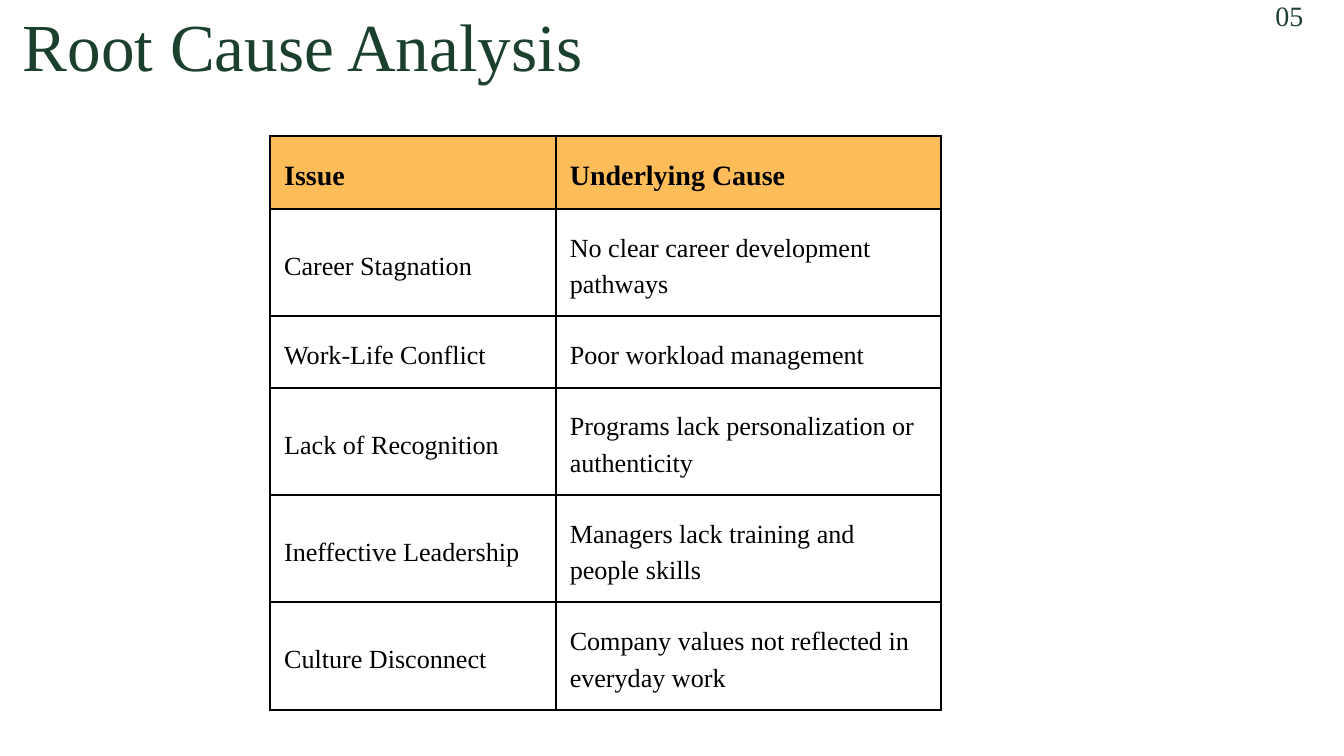
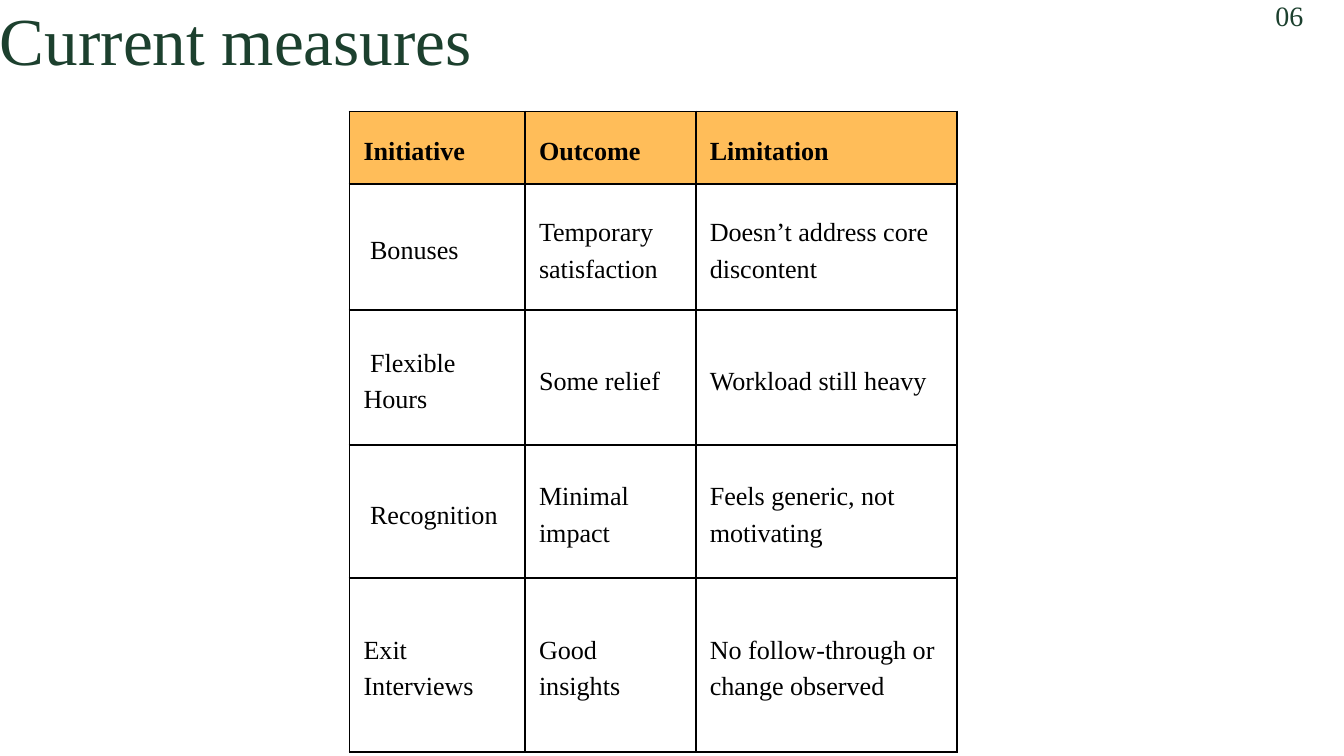
"""Build two slides, each with a title, a page number and a bordered table."""
import pptx
import pptx.dml.color
import pptx.enum.text
import pptx.oxml
import pptx.oxml.ns
import pptx.util

Pt = pptx.util.Pt
RGB = pptx.dml.color.RGBColor
GREEN = RGB(0x1C, 0x40, 0x2E)
AMBER = RGB(0xFF, 0xBD, 0x59)
BLACK = RGB(0, 0, 0)
WHITE = RGB(255, 255, 255)
FONT = "Times New Roman"
INSET = Pt(15)
EDGE = 2.25

CAUSES = [
    ("Issue", "Underlying Cause"),
    ("Career Stagnation", "No clear career development pathways"),
    ("Work-Life Conflict", "Poor workload management"),
    ("Lack of Recognition", "Programs lack personalization or authenticity"),
    ("Ineffective Leadership", "Managers lack training and people skills"),
    ("Culture Disconnect", "Company values not reflected in everyday work"),
]
STEPS = [
    ("Initiative", "Outcome", "Limitation"),
    (" Bonuses", "Temporary satisfaction", "Doesn’t address core discontent"),
    (" Flexible Hours", "Some relief", "Workload still heavy"),
    (" Recognition", "Minimal impact", "Feels generic, not motivating"),
    ("Exit Interviews", "Good insights", "No follow-through or change observed"),
]


def assign(target, values):
    for name, value in values.items():
        setattr(target, name, value)


def write(frame, text, size, lead, color, bold=False):
    par = frame.paragraphs[0]
    par.line_spacing = Pt(lead)
    run = par.add_run()
    run.text = text
    assign(run.font, {"name": FONT, "size": Pt(size), "bold": bold})
    run.font.color.rgb = color


def add_label(slide, text, box, size, lead):
    frame = slide.shapes.add_textbox(*map(Pt, box)).text_frame
    assign(frame, {
        "margin_left": 0, "margin_right": 0, "margin_top": 0,
        "margin_bottom": 0, "word_wrap": True,
        "auto_size": pptx.enum.text.MSO_AUTO_SIZE.SHAPE_TO_FIT_TEXT,
    })
    write(frame, text, size, lead, GREEN)


def add_edges(cell):
    space = pptx.oxml.ns.nsdecls("a")
    props = cell._tc.get_or_add_tcPr()
    for side in "LRTB":
        props.append(pptx.oxml.parse_xml(
            f'<a:ln{side} {space} w="{Pt(EDGE)}"><a:solidFill>'
            f'<a:srgbClr val="{BLACK}"/></a:solidFill></a:ln{side}>'))


def fill_cell(cell, text, head, size):
    assign(cell, {
        "margin_left": INSET, "margin_right": INSET, "margin_top": INSET,
        "margin_bottom": INSET,
        "vertical_anchor": pptx.enum.text.MSO_ANCHOR.MIDDLE,
    })
    add_edges(cell)
    if head:
        cell.fill.solid()
        cell.fill.fore_color.rgb = AMBER
    else:
        cell.fill.background()
    write(cell.text_frame, text, size, size * 1.4, BLACK, head)


def add_grid(slide, data, left, top, widths, heights, head_size=28):
    table = slide.shapes.add_table(
        len(data), len(widths), Pt(left), Pt(top),
        Pt(sum(widths)), Pt(sum(heights))).table
    assign(table, {"first_row": False, "horz_banding": False})
    for column, width in zip(table.columns, widths):
        column.width = Pt(width)
    for index, (row, height) in enumerate(zip(table.rows, heights)):
        row.height = Pt(height)
        head = index == 0
        for cell, text in zip(row.cells, data[index]):
            fill_cell(cell, text, head, head_size if head else 28)


def add_page(deck):
    slide = deck.slides.add_slide(deck.slide_layouts[6])
    slide.background.fill.solid()
    slide.background.fill.fore_color.rgb = WHITE
    return slide


def add_heads(slide, title, box, number):
    add_label(slide, title, box, 72, 86.4)
    add_label(slide, number, (1366.5, -2, 85, 41), 30, 36)


def main():
    deck = pptx.Presentation()
    assign(deck, {"slide_width": Pt(1440), "slide_height": Pt(810)})

    slide = add_page(deck)
    add_grid(slide, CAUSES, 289.5, 145.5, (306, 412.5),
             (78.5, 115, 76.5, 115, 115, 115), 30)
    add_heads(slide, "Root Cause Analysis", (24.5, 5, 952.5, 97), "05")

    slide = add_page(deck)
    add_grid(slide, STEPS, 374.5, 119.5, (188, 183, 279.5),
             (77.5, 135.5, 144.5, 142, 186.5))
    add_heads(slide, "Current measures", (0, -2, 922.5, 97), "06")

    deck.save("out.pptx")


if __name__ == "__main__":
    main()
